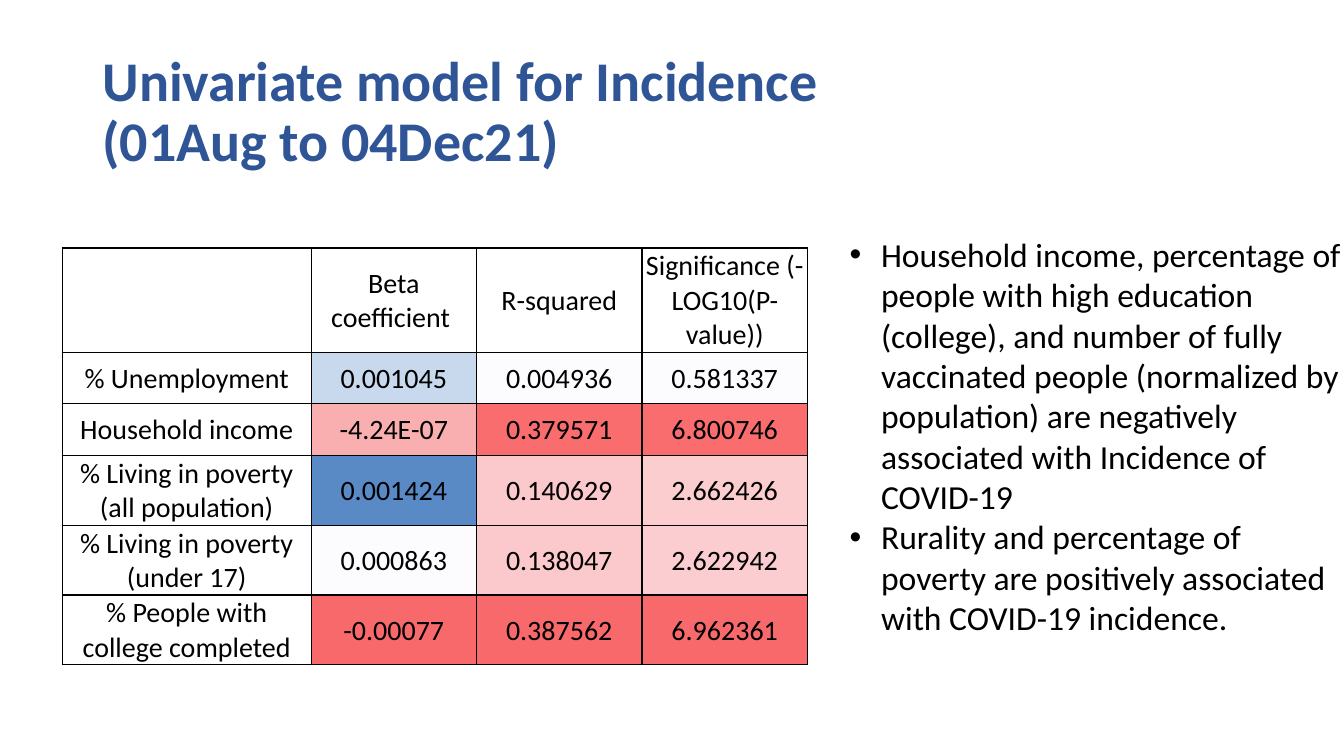
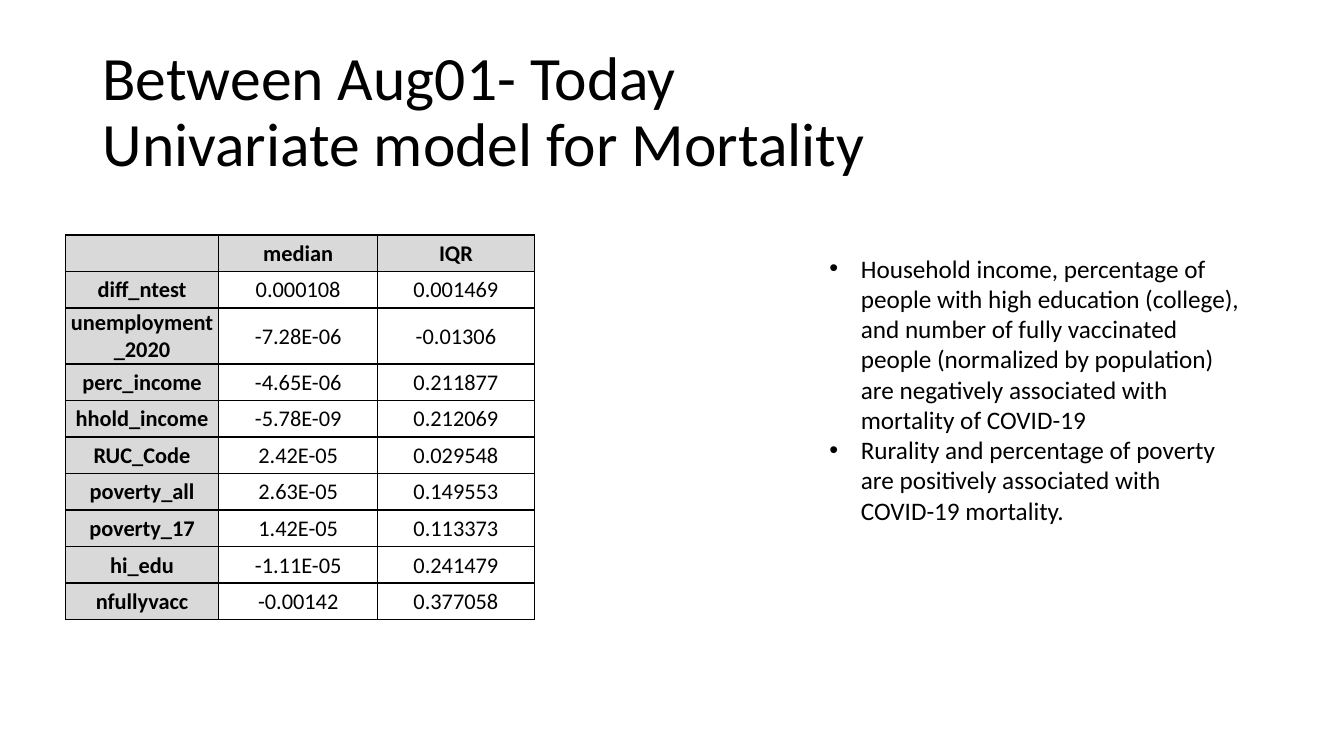
from lxml import etree
from pptx import Presentation
from pptx import util as u
from pptx.dml.color import RGBColor
from pptx.enum import text
from pptx.oxml import ns

FONT = "Calibri"
INK = {
    "black": "000000", "white": "FFFFFF", "navy": "2F5597", "gray": "D9D9D9",
    "ice": "FCFCFF", "sky": "C8D8ED", "blue": "5A8AC6", "red": "F8696B",
    "coral": "F96D6F", "pink": "F9AEB0", "rose": "FBC8CB", "rose2": "FBC9CC",
    "blush": "FBCDCF", "blush2": "FBCDD0",
}
CLAIM = ("Household income, percentage of people with high education (college), "
         "and number of fully vaccinated people (normalized by population) "
         "are negatively associated with {} of COVID-19")

# Lengths are in centimetres, text sizes in points.
SLIDES = [
    dict(
        title=["Univariate model for Incidence", "(01Aug to 04Dec21)"],
        look=dict(size=40, ink="navy", bold=True),
        points=[CLAIM.format("Incidence"),
                "Rurality and percentage of poverty are positively associated "
                "with COVID-19 incidence."],
        box=(21.16, 5.77, 12.95, 10.52), size=24,
        grid=dict(
            at=(1.57, 6.25), cols=[6.27] + [4.17] * 3,
            rows=[2.26] + [1.3] * 2 + [1.52] * 3, size=20, head=False,
            cells=[
                ("", "Beta coefficient ", "R-squared", "Significance (-LOG10(P-value))"),
                ("% Unemployment", "0.001045", "0.004936", "0.581337"),
                ("Household income", "-4.24E-07", "0.379571", "6.800746"),
                ("% Living in poverty (all population)", "0.001424", "0.140629", "2.662426"),
                ("% Living in poverty (under 17)", "0.000863", "0.138047", "2.622942"),
                ("% People with college completed", "-0.00077", "0.387562", "6.962361"),
            ],
            heat=[
                ("sky", "ice", "ice"),
                ("pink", "coral", "coral"),
                ("blue", "rose", "blush"),
                ("ice", "rose2", "blush2"),
                ("red", "red", "red"),
            ]),
    ),
    dict(
        title=["Between Aug01- Today", "Univariate model for Mortality"],
        look=dict(size=44),
        points=[CLAIM.format("mortality"),
                "Rurality and percentage of poverty are positively associated "
                "with COVID-19 mortality."],
        box=(20.65, 6.25, 10.87, 7.95), size=18,
        grid=dict(
            at=(1.65, 5.92), cols=[3.86, 4.01, 3.94],
            rows=[0.92] * 2 + [1.12] + [0.92] * 7, size=16, head=True,
            cells=[
                ("", "median", "IQR"),
                ("diff_ntest", "0.000108", "0.001469"),
                ("unemployment_2020", "-7.28E-06", "-0.01306"),
                ("perc_income", "-4.65E-06", "0.211877"),
                ("hhold_income", "-5.78E-09", "0.212069"),
                ("RUC_Code", "2.42E-05", "0.029548"),
                ("poverty_all", "2.63E-05", "0.149553"),
                ("poverty_17", "1.42E-05", "0.113373"),
                ("hi_edu", "-1.11E-05", "0.241479"),
                ("nfullyvacc", "-0.00142", "0.377058"),
            ],
            heat=[]),
    ),
]


def rgb(ink):
    """Return the named colour."""
    return RGBColor.from_string(INK[ink])


def add_run(para, words, size, ink="black", bold=False):
    """Add one formatted run to a paragraph."""
    run = para.add_run()
    run.text = words
    font = run.font
    font.name, font.size, font.bold = FONT, u.Pt(size), bold
    font.color.rgb = rgb(ink)


def place(shape, left, top, width, height):
    """Move and size a shape."""
    shape.left, shape.top = u.Cm(left), u.Cm(top)
    shape.width, shape.height = u.Cm(width), u.Cm(height)


def add_title(shape, lines, look):
    """Fill the title, one line break between lines."""
    place(shape, 2.33, 1.02, 29.21, 3.68)
    frame = shape.text_frame
    frame.auto_size = text.MSO_AUTO_SIZE.NONE
    frame.vertical_anchor = text.MSO_ANCHOR.MIDDLE
    para = frame.paragraphs[0]
    para.alignment, para.line_spacing = text.PP_ALIGN.LEFT, 0.9
    for i, line in enumerate(lines):
        if i:
            para.add_line_break()
        add_run(para, line, **look)


def add_points(shape, points, box, size):
    """Fill the body with a bulleted list."""
    place(shape, *box)
    frame = shape.text_frame
    frame.auto_size = text.MSO_AUTO_SIZE.NONE
    frame.vertical_anchor = text.MSO_ANCHOR.TOP
    for i, point in enumerate(points):
        para = frame.add_paragraph() if i else frame.paragraphs[0]
        para.alignment, para.line_spacing = text.PP_ALIGN.LEFT, 1.0
        para.space_before = para.space_after = u.Pt(0)
        props = para._p.get_or_add_pPr()
        props.set("marL", str(u.Cm(0.79)))
        props.set("indent", str(-u.Cm(0.79)))
        etree.SubElement(props, ns.qn("a:buFont"), typeface="Arial")
        etree.SubElement(props, ns.qn("a:buChar"), char="•")
        add_run(para, point, size)


def add_edges(cell):
    """Draw a thin black line on all four sides of a cell."""
    props = cell._tc.get_or_add_tcPr()
    for side in "LRTB":
        line = etree.SubElement(props, ns.qn("a:ln" + side), w=str(u.Pt(1)))
        fill = etree.SubElement(line, ns.qn("a:solidFill"))
        etree.SubElement(fill, ns.qn("a:srgbClr"), val=INK["black"])


def add_grid(slide, at, cols, rows, size, head, cells, heat):
    """Add a ruled table with shaded heads or heat colours."""
    left, top, width, height = map(u.Cm, (*at, sum(cols), sum(rows)))
    table = slide.shapes.add_table(len(rows), len(cols), left, top, width, height).table
    table.first_row = table.horz_banding = False
    for col, wide in zip(table.columns, cols):
        col.width = u.Cm(wide)
    for row, high in zip(table.rows, rows):
        row.height = u.Cm(high)
    for r, line in enumerate(cells):
        for c, words in enumerate(line):
            cell = table.cell(r, c)
            edge = r == 0 or c == 0
            ink = "gray" if head and edge else "white"
            if heat and not edge:
                ink = heat[r - 1][c - 1]
            add_edges(cell)
            cell.fill.solid()
            cell.fill.fore_color.rgb = rgb(ink)
            cell.vertical_anchor = text.MSO_ANCHOR.MIDDLE
            cell.margin_left = cell.margin_right = cell.margin_top = u.Cm(0.03)
            cell.margin_bottom = 0
            para = cell.text_frame.paragraphs[0]
            para.alignment = text.PP_ALIGN.CENTER
            if words:
                add_run(para, words, size, bold=head and edge)


deck = Presentation()
deck.slide_width, deck.slide_height = u.Cm(33.87), u.Cm(19.05)
for page in SLIDES:
    slide = deck.slides.add_slide(deck.slide_layouts[1])
    add_title(slide.shapes.title, page["title"], page["look"])
    add_points(slide.placeholders[1], page["points"], page["box"], page["size"])
    add_grid(slide, **page["grid"])
deck.save("out.pptx")
